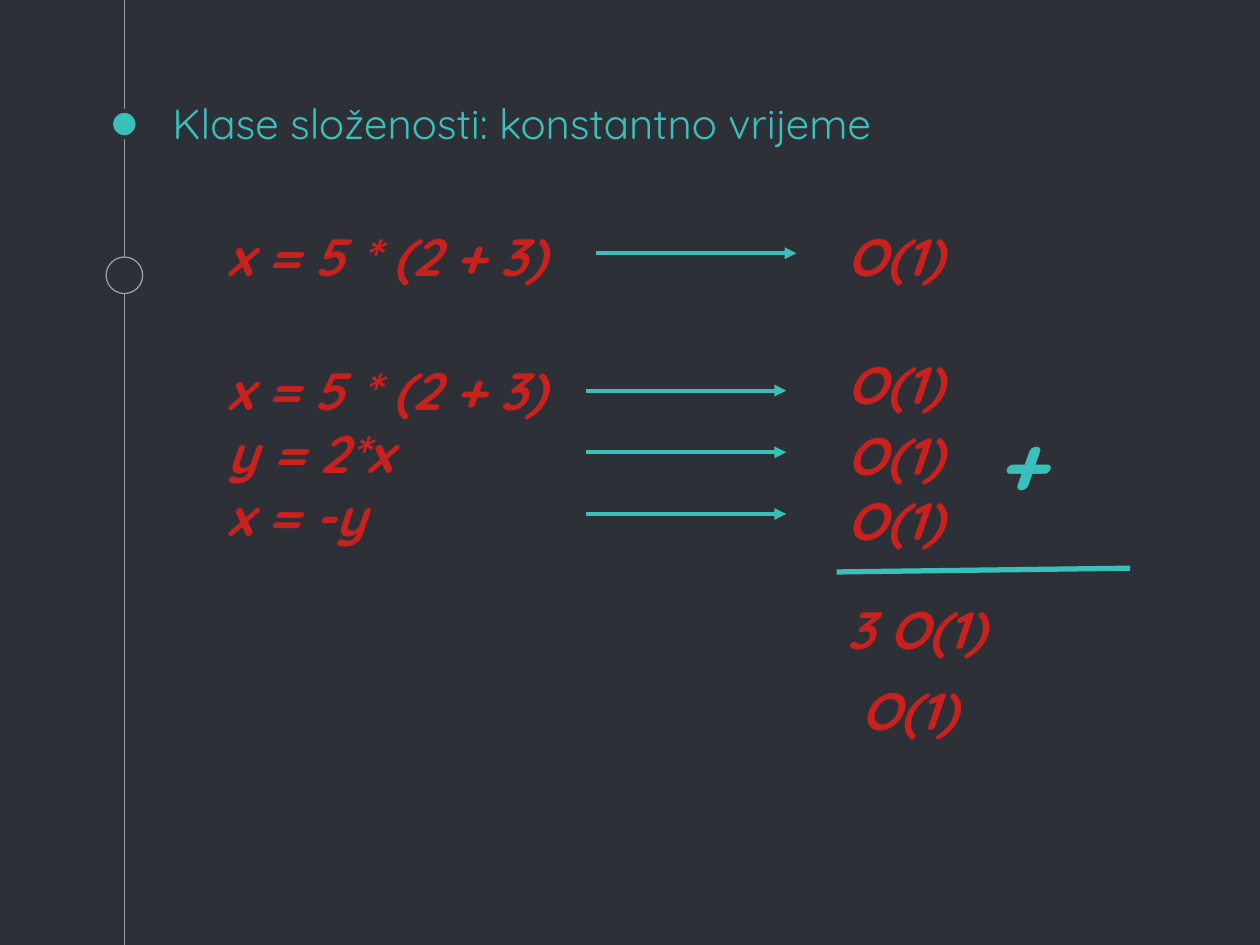
import pptx
import pptx.dml.color
import pptx.enum.shapes
import pptx.enum.text
import pptx.oxml.ns
import pptx.util
from lxml import etree

THEME = {
    "background": "2E3037", "accent": "39C0BA", "formula": "C9211E", "rail": "999FA9",
    "font": "Quicksand", "title_size": 24, "formula_size": 30, "plus_size": 48,
    "thin": 0.75, "medium": 2.25, "thick": 3, "inset": 0.1, "indent": 1,
}
WIDTH, HEIGHT = 10, 7.5

# Places are percentages of the slide's width and height.
TITLE = ("Klase složenosti: konstantno vrijeme", (12.7, 10.27, 75, 6.67))
STATEMENTS = [
    (["x = 5 * (2 + 3)"], (7, 22.4, 41.8, 12.4)),
    (["x = 5 * (2 + 3)", "y = 2*x", "x = -y"], (7, 36.53, 38.6, 22.93)),
]
COSTS = [
    ("O(1)", (66.2, 22.4, 14, 12.4)),
    ("O(1)", (66.2, 35.87, 14, 11.07)),
    ("O(1)", (66.2, 43.47, 14, 8.93)),
    ("O(1)", (66.2, 50.27, 14, 6.67)),
    ("3 O(1)", (66.2, 61.87, 14.8, 11.07)),
    ("O(1)", (67.3, 70.4, 14, 12.4)),
]
PLUS = ("+", (78, 42.13, 14, 12.4))
ARROW_LENGTH = 15.9
ARROW_STARTS = [(47.3, 26.8)] + [(46.5, 41.33 + 6.53 * row) for row in range(3)]
SUM_RULE = (66.4, 60.53, 89.7, 60.13)
RAIL_X = 9.87
MARKERS = [
    (13.13, 2.1, "accent", "background", "medium"),
    (29.13, 2.9, "background", "rail", "thin"),
]


def across(share):
    return pptx.util.Inches(WIDTH * share / 100)


def down(share):
    return pptx.util.Inches(HEIGHT * share / 100)


def color(key):
    return pptx.dml.color.RGBColor.from_string(THEME[key])


def apply(target, values):
    for name, value in values.items():
        setattr(target, name, value)


def add_text(slide, lines, place, size, ink, emphasis=True, indent=0, anchor="TOP"):
    left, top, width, height = place
    box = slide.shapes.add_textbox(across(left), down(top), across(width), down(height))
    inset = pptx.util.Inches(THEME["inset"])
    apply(box.text_frame, {
        "word_wrap": True,
        "vertical_anchor": getattr(pptx.enum.text.MSO_ANCHOR, anchor),
        "margin_left": inset, "margin_right": inset,
        "margin_top": inset, "margin_bottom": inset,
    })
    box.text_frame.text = "\n".join(lines)
    for paragraph in box.text_frame.paragraphs:
        if indent:
            properties = paragraph._p.get_or_add_pPr()
            properties.set("marL", str(pptx.util.Inches(indent)))
            properties.set("indent", "0")
        for run in paragraph.runs:
            apply(run.font, {
                "name": THEME["font"], "size": pptx.util.Pt(THEME[size]),
                "bold": emphasis, "italic": emphasis,
            })
            run.font.color.rgb = color(ink)


def add_line(slide, ends, ink, weight, arrow=False):
    x1, y1, x2, y2 = ends
    line = slide.shapes.add_connector(
        pptx.enum.shapes.MSO_CONNECTOR.STRAIGHT,
        across(x1), down(y1), across(x2), down(y2))
    line.line.color.rgb = color(ink)
    line.line.width = pptx.util.Pt(THEME[weight])
    if arrow:
        outline = line.line._get_or_add_ln()
        etree.SubElement(outline, pptx.oxml.ns.qn("a:tailEnd"), type="triangle")
    etree.SubElement(line._element.spPr, pptx.oxml.ns.qn("a:effectLst"))


def add_marker(slide, center, diameter, fill, ink, weight):
    size = across(diameter)
    marker = slide.shapes.add_shape(
        pptx.enum.shapes.MSO_SHAPE.OVAL,
        across(RAIL_X) - size // 2, down(center) - size // 2, size, size)
    marker.shadow.inherit = False
    marker.fill.solid()
    marker.fill.fore_color.rgb = color(fill)
    marker.line.color.rgb = color(ink)
    marker.line.width = pptx.util.Pt(THEME[weight])


def main():
    deck = pptx.Presentation()
    apply(deck, {"slide_width": across(100), "slide_height": down(100)})
    slide = deck.slides.add_slide(deck.slide_layouts[6])
    slide.background.fill.solid()
    slide.background.fill.fore_color.rgb = color("background")

    add_line(slide, (RAIL_X, 0, RAIL_X, 100), "rail", "thin")
    for marker in MARKERS:
        add_marker(slide, *marker)

    title, place = TITLE
    add_text(slide, [title], place, "title_size", "accent", emphasis=False, anchor="BOTTOM")
    for lines, place in STATEMENTS:
        add_text(slide, lines, place, "formula_size", "formula", indent=THEME["indent"])
    for x, y in ARROW_STARTS:
        add_line(slide, (x, y, x + ARROW_LENGTH, y), "accent", "medium", arrow=True)
    for cost, place in COSTS:
        add_text(slide, [cost], place, "formula_size", "formula")
    plus, place = PLUS
    add_text(slide, [plus], place, "plus_size", "accent")
    add_line(slide, SUM_RULE, "accent", "thick")

    deck.save("out.pptx")


if __name__ == "__main__":
    main()
